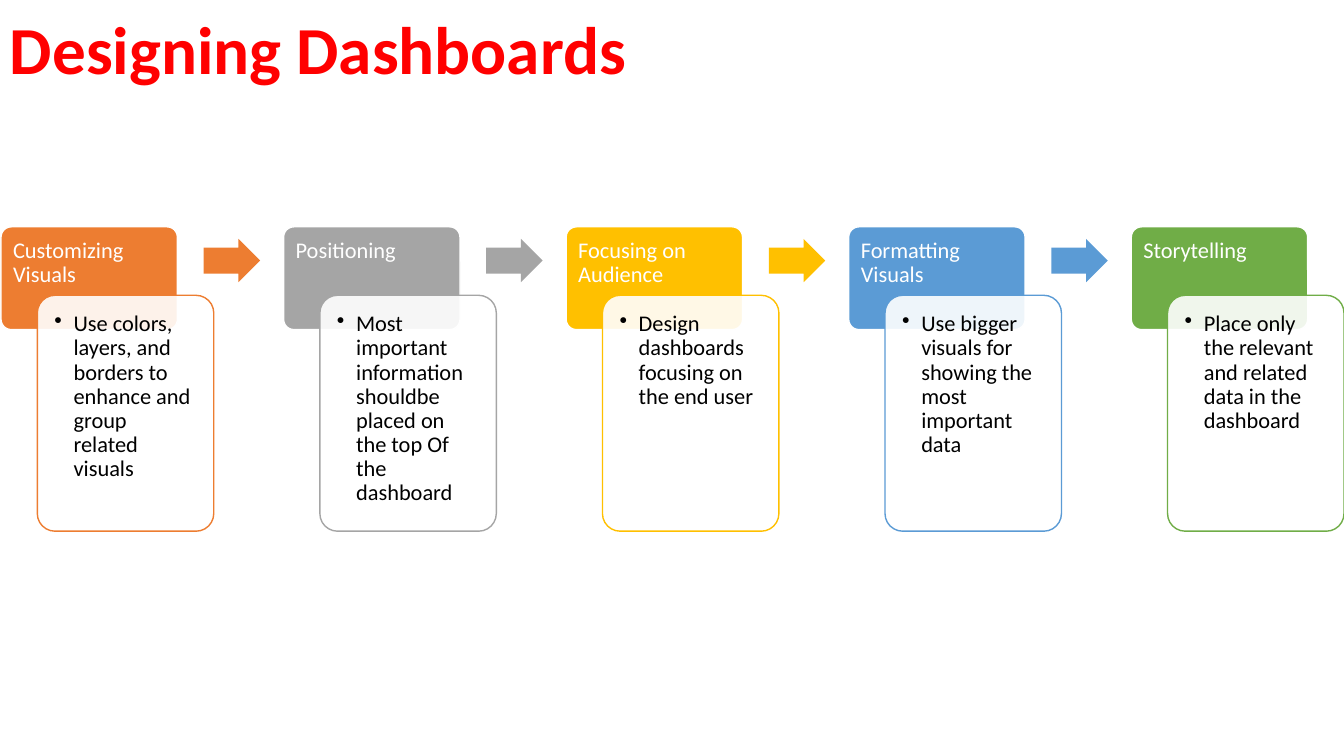
"""Build the Designing Dashboards slide: five linked steps with explanations."""
from dataclasses import dataclass

from lxml.etree import SubElement
from pptx import Presentation
from pptx.dml.color import RGBColor
from pptx.enum.shapes import MSO_SHAPE as Preset
from pptx.enum.text import MSO_ANCHOR as Anchor, PP_ALIGN as Align
from pptx.oxml.ns import qn
from pptx.util import Inches, Pt


@dataclass(frozen=True)
class Theme:
    font: str = "Calibri"
    title_size: int = 48
    body_size: int = 16
    title: str = "FF0000"
    ink: str = "000000"
    white: str = "FFFFFF"
    orange: str = "ED7D31"
    gray: str = "A5A5A5"
    gold: str = "FFC000"
    blue: str = "5B9BD5"
    green: str = "70AD47"


theme = Theme()
steps = [
    ("Customizing Visuals", theme.orange,
     "Use colors, layers, and borders to enhance and group related visuals"),
    ("Positioning", theme.gray,
     "Most important information shouldbe placed on the top Of the dashboard"),
    ("Focusing on Audience", theme.gold,
     "Design dashboards focusing on the end user"),
    ("Formatting Visuals", theme.blue,
     "Use bigger visuals for showing the most important data"),
    ("Storytelling", theme.green,
     "Place only the relevant and related data in the dashboard"),
]

deck = Presentation()
deck.slide_width, deck.slide_height = Inches(13.33), Inches(7.5)
page = deck.slides.add_slide(deck.slide_layouts[6])


def add_block(preset, place, adjustments, fill, line=None):
    """Add a filled preset shape with an optional outline."""
    shape = page.shapes.add_shape(preset, *map(Inches, place))
    shape.shadow.inherit = False
    for index, value in enumerate(adjustments):
        shape.adjustments[index] = value
    shape.fill.solid()
    shape.fill.fore_color.rgb = RGBColor.from_string(fill)
    if line:
        shape.line.color.rgb = RGBColor.from_string(line)
        shape.line.width = Pt(1)
    else:
        shape.line.fill.background()
    return shape


def add_words(place, words, size, color, insets):
    """Add a wrapped text box and return its frame, paragraph and run."""
    frame = page.shapes.add_textbox(*map(Inches, place)).text_frame
    frame.word_wrap = True
    (frame.margin_left, frame.margin_top,
     frame.margin_right, frame.margin_bottom) = map(Inches, insets)
    para = frame.paragraphs[0]
    para.line_spacing = 0.9
    span = para.add_run()
    span.text = words
    span.font.name = theme.font
    span.font.size = Pt(size)
    span.font.color.rgb = RGBColor.from_string(color)
    return frame, para, span


frame, para, span = add_words((0, 0, 13.33, 0.93), "Designing Dashboards",
                              theme.title_size, theme.title,
                              (0.1, 0.05, 0.1, 0.05))
frame.vertical_anchor = Anchor.BOTTOM
para.alignment = Align.JUSTIFY
span.font.bold = True

first_left = 0.01
step_width = 2.11
pitch = (13.33 - first_left - step_width) / (len(steps) - 1)

for number, (heading, color, detail) in enumerate(steps):
    left = first_left + number * pitch
    add_block(Preset.ROUNDED_RECTANGLE, (left, 2.25, 1.75, 1.02), [0.1],
              color, theme.white)
    add_words((left, 2.25, 1.75, 0.68), heading, theme.body_size,
              theme.white, (0.12, 0.12, 0.12, 0.07))

    card = add_block(Preset.ROUNDED_RECTANGLE, (left + 0.36, 2.93, 1.75, 2.34),
                     [0.1], theme.white, color)
    card_color = card.fill._xPr.find(qn("a:solidFill"))[0]
    SubElement(card_color, qn("a:alpha"), val="90000")

    frame, para, span = add_words((left + 0.41, 2.98, 1.64, 2.24), detail,
                                  theme.body_size, theme.ink, (0.12,) * 4)
    para.level = 1
    properties = para._p.get_or_add_pPr()
    properties.set("marL", str(Inches(0.19)))
    properties.set("indent", str(Inches(-0.19)))
    SubElement(properties, qn("a:buChar"), char="•")

    if number < len(steps) - 1:
        add_block(Preset.RIGHT_ARROW, (left + 2.01, 2.37, 0.56, 0.43),
                  [0.6, 0.5], color)

deck.save("out.pptx")
